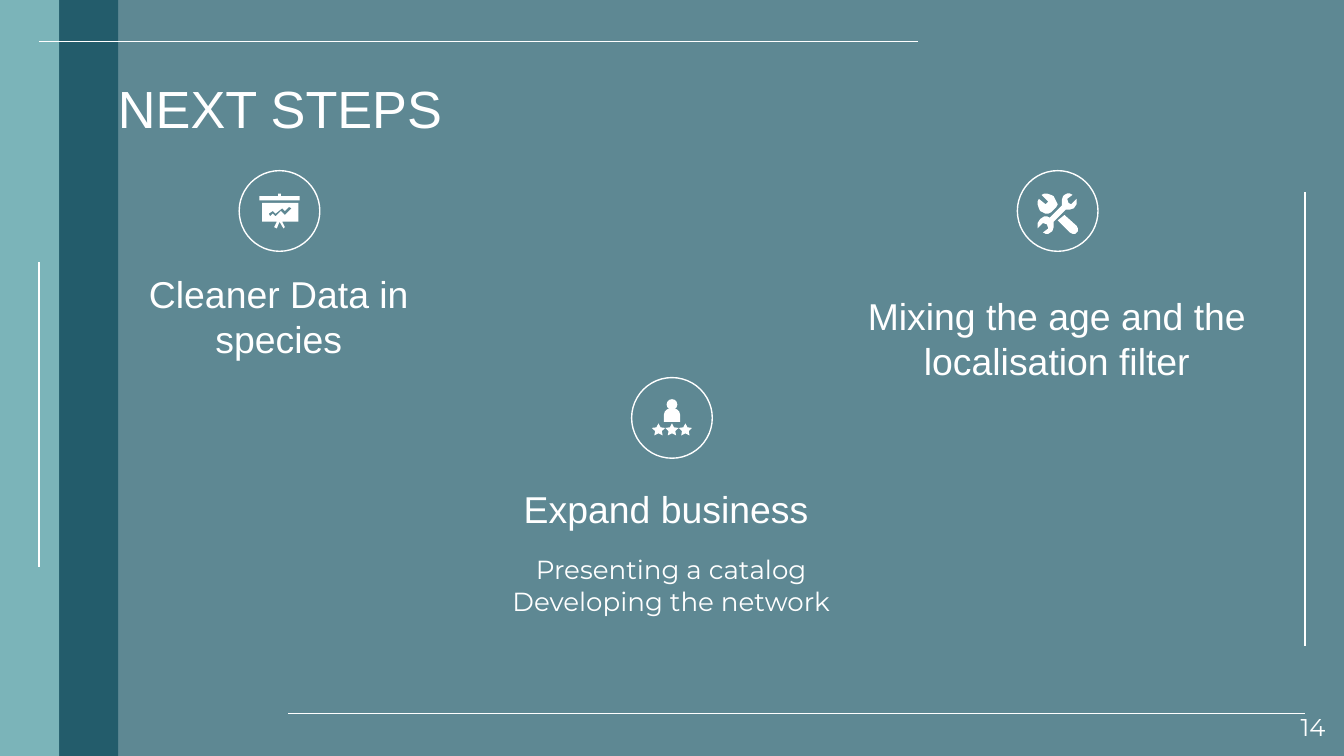
import lxml.etree
import pptx
import pptx.dml.color
import pptx.enum.shapes
import pptx.enum.text
import pptx.oxml.ns
import pptx.util

Inches = pptx.util.Inches
Pt = pptx.util.Pt
MSO = pptx.enum.shapes.MSO_SHAPE
ALIGN = pptx.enum.text.PP_ALIGN
ANCHOR = pptx.enum.text.MSO_ANCHOR
qn = pptx.oxml.ns.qn

WHITE = pptx.dml.color.RGBColor(0xFF, 0xFF, 0xFF)
DEEP = pptx.dml.color.RGBColor(0x01, 0x43, 0x55)
AQUA = pptx.dml.color.RGBColor(0x98, 0xE0, 0xE0)

WIDTH = 10
HEIGHT = WIDTH * 9 / 16

TITLE = {"name": "Arial", "size": Pt(28)}
HEADING = {"name": "Arial", "size": Pt(20)}
BODY = {"name": "Montserrat", "size": Pt(14)}
NUMBER = {"name": "Montserrat", "size": Pt(13)}

BOARD_RAIL = [[(207, 144), (207, 146), (193, 146), (193, 149), (223, 149),
               (223, 146), (209, 146), (209, 144)]]
BOARD = [
    [(215, 154), (217, 155), (212, 160), (209, 157), (205, 161), (203, 159),
     (201, 161), (200, 159), (203, 157), (205, 159), (210, 155), (212, 157)],
    [(195, 151), (195, 165), (206, 165), (204, 169), (206, 170), (208, 165),
     (211, 170), (212, 169), (210, 165), (222, 165), (222, 151)],
]
WRENCH_HEAD = [[(779, 144), (777, 144.5), (775, 145), (780, 150), (779, 151),
                (778, 152), (773, 148), (772.3, 150), (772, 152.5),
                (772.6, 155), (774, 157), (776, 158.3), (778, 159),
                (780, 159), (782, 158), (786, 154), (786.6, 152),
                (786, 150), (784, 146), (782, 144.6)]]
HANDLE = [[(792, 160), (787, 164), (796, 173), (798, 174), (800, 173.5),
           (801.5, 172), (802, 170), (801, 168)]]
WRENCH = [[(796, 144), (794, 144), (792, 145), (791, 146), (789.7, 149),
           (790, 153), (781, 162), (779, 161), (777, 161), (774, 163),
           (772.3, 166), (772, 170), (776, 166), (779, 167), (780, 170),
           (776, 173), (778, 174), (780, 173.8), (783, 172), (784.3, 169),
           (784, 165), (793, 156), (796, 156), (799, 155), (801.3, 152),
           (801, 148), (797, 152), (795, 151), (794, 148), (798, 145)]]


class Deck:
    def __init__(self, s, color):
        self.s = s
        self.color = color

    def shape(self, kind, x, y, w, h, fill=None, alpha=None, line=None):
        sp = self.s.shapes.add_shape(kind, Inches(x), Inches(y), Inches(w), Inches(h))
        return self.paint(sp, fill, alpha, line)

    def paint(self, sp, fill=None, alpha=None, line=None):
        sp.shadow.inherit = False
        if fill is None:
            sp.fill.background()
        else:
            sp.fill.solid()
            sp.fill.fore_color.rgb = fill
        if alpha:
            clr = sp._element.spPr.find(qn("a:solidFill"))[0]
            lxml.etree.SubElement(clr, qn("a:alpha")).set("val", str(alpha * 1000))
        if line:
            sp.line.color.rgb = self.color
            sp.line.width = Pt(line)
        else:
            sp.line.fill.background()
        return sp

    def outline(self, contours):
        fb = self.s.shapes.build_freeform(*contours[0][0], scale=Inches(0.01))
        fb.add_line_segments(contours[0][1:], close=True)
        for pts in contours[1:]:
            fb.move_to(*pts[0])
            fb.add_line_segments(pts[1:], close=True)
        return self.paint(fb.convert_to_shape(), self.color)

    def rule(self, x1, y1, x2, y2):
        sp = self.s.shapes.add_connector(
            pptx.enum.shapes.MSO_CONNECTOR.STRAIGHT,
            Inches(x1), Inches(y1), Inches(x2), Inches(y2))
        sp.line.color.rgb = self.color
        sp.line.width = Pt(0.75)
        lxml.etree.SubElement(sp._element.spPr, qn("a:effectLst"))

    def text(self, x, y, w, h, lines, font, align=ALIGN.CENTER, anchor=ANCHOR.TOP):
        sp = self.s.shapes.add_textbox(Inches(x), Inches(y), Inches(w), Inches(h))
        tf = sp.text_frame
        frame = {"word_wrap": True, "vertical_anchor": anchor}
        frame.update((f"margin_{side}", Inches(0.1))
                     for side in ("left", "top", "right", "bottom"))
        for key, value in frame.items():
            setattr(tf, key, value)
        for i, line in enumerate(lines):
            p = tf.add_paragraph() if i else tf.paragraphs[0]
            p.alignment = align
            p.line_spacing = 1.0
            r = p.add_run()
            r.text = line
            for key, value in font.items():
                setattr(r.font, key, value)
            r.font.color.rgb = self.color


def main():
    prs = pptx.Presentation()
    prs.slide_width, prs.slide_height = Inches(WIDTH), Inches(HEIGHT)
    deck = Deck(prs.slides.add_slide(prs.slide_layouts[6]), WHITE)

    for x, w, color, alpha in [(0, WIDTH, DEEP, 63), (0.44, 0.44, DEEP, 63),
                               (0, 0.44, AQUA, 50)]:
        deck.shape(MSO.RECTANGLE, x, 0, w, HEIGHT, color, alpha)
    for ends in [(9.71, 1.43, 9.71, 4.81), (9.71, 5.31, 2.14, 5.31),
                 (0.29, 0.31, 6.83, 0.31), (0.29, 1.95, 0.29, 4.22)]:
        deck.rule(*ends)

    deck.text(0.78, 0.47, 8.44, 0.51, ["NEXT STEPS"], TITLE, ALIGN.LEFT)
    for x, y, w, h, label in [
        (6.15, 2.08, 3.43, 0.86, "Mixing the age and the localisation filter"),
        (0.78, 1.92, 2.59, 0.4, "Cleaner Data in species"),
        (3.7, 3.52, 2.59, 0.64, "Expand business "),
    ]:
        deck.text(x, y, w, h, [label], HEADING)
    deck.text(3.7, 4.02, 2.59, 0.58,
              ["Presenting a catalog", "Developing the network"], BODY)
    deck.text(9.36, 5.19, 0.6, 0.43, ["14"], NUMBER, ALIGN.RIGHT, ANCHOR.MIDDLE)

    for x, y in [(7.57, 1.27), (1.78, 1.27), (4.7, 2.81)]:
        deck.shape(MSO.OVAL, x, y, 0.6, 0.6, line=0.75)
    deck.shape(MSO.OVAL, 4.96, 2.97, 0.08, 0.08, WHITE)
    body = deck.shape(MSO.ROUND_2_SAME_RECTANGLE, 4.94, 3.04, 0.12, 0.1, WHITE)
    body.adjustments[0] = 0.45
    for i in range(3):
        star = deck.shape(MSO.STAR_5_POINT, 4.85 + 0.1 * i, 3.15, 0.1, 0.09, WHITE)
        star.adjustments[0] = 0.25
    for contours in [BOARD_RAIL, BOARD, WRENCH_HEAD, HANDLE, WRENCH]:
        deck.outline(contours)

    prs.save("out.pptx")


if __name__ == "__main__":
    main()
